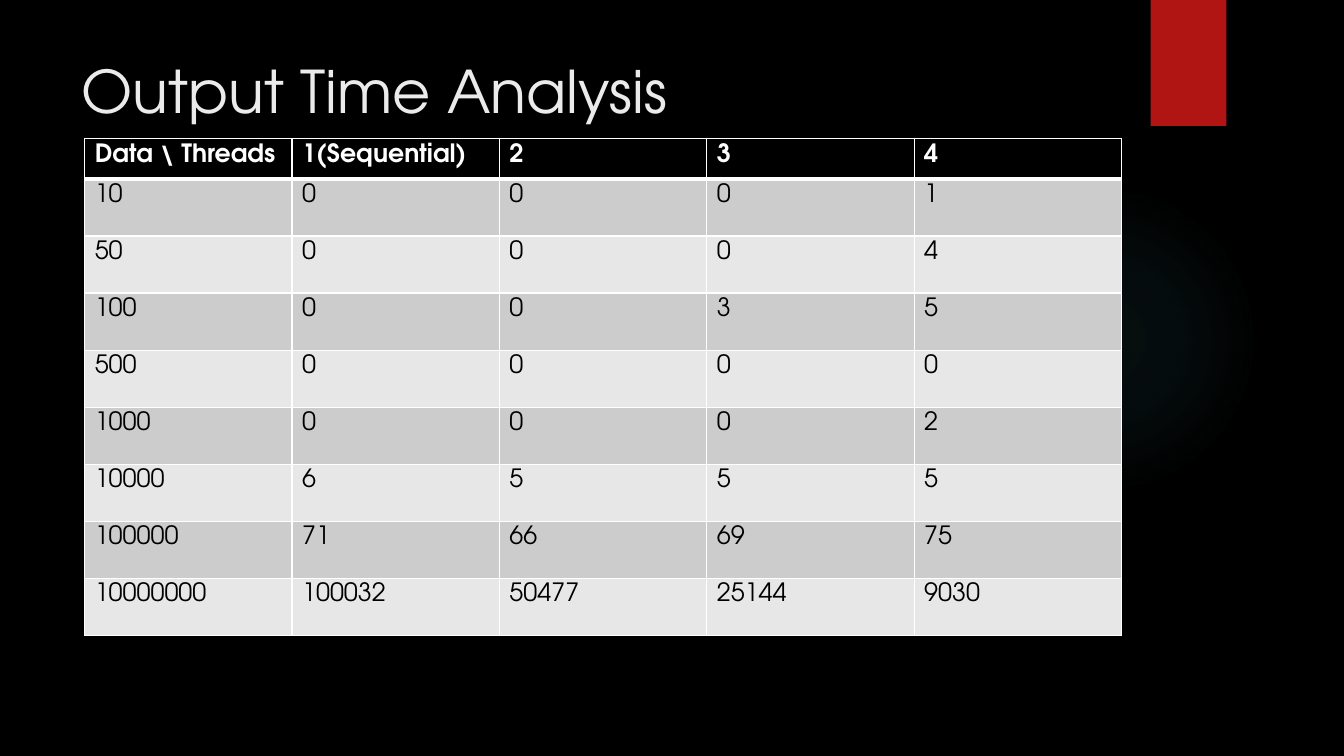
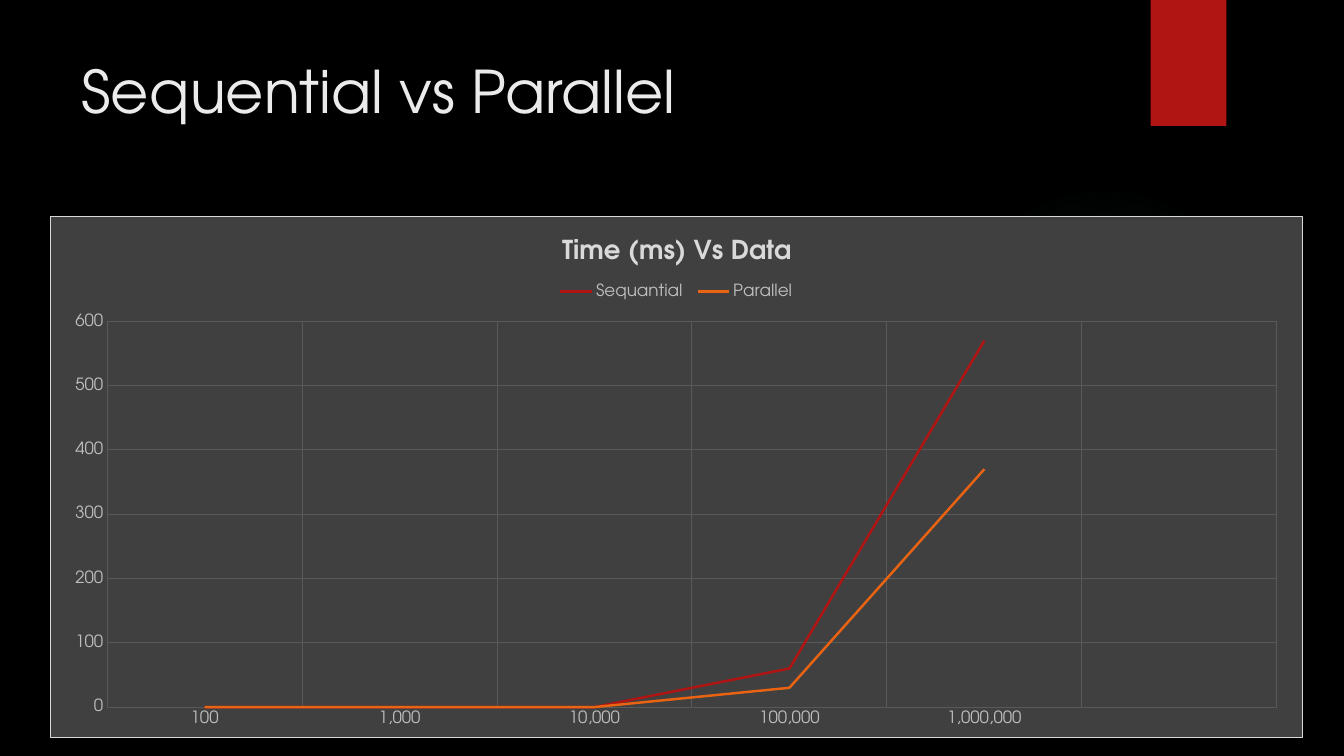
from dataclasses import dataclass

from lxml import etree
from pptx import Presentation
from pptx.chart.data import CategoryChartData
from pptx.dml.color import RGBColor
from pptx.enum.chart import XL_CHART_TYPE, XL_LEGEND_POSITION, XL_TICK_MARK
from pptx.enum.shapes import MSO_SHAPE
from pptx.enum.text import MSO_ANCHOR, MSO_AUTO_SIZE, PP_ALIGN
from pptx.oxml import parse_xml
from pptx.oxml.ns import nsdecls, qn
from pptx.util import Inches, Pt

LINE_CHART = XL_CHART_TYPE.LINE
LEGEND_TOP = XL_LEGEND_POSITION.TOP
NO_TICK = XL_TICK_MARK.NONE
ELLIPSE, RECTANGLE = MSO_SHAPE.OVAL, MSO_SHAPE.RECTANGLE
TOP, LEFT = MSO_ANCHOR.TOP, PP_ALIGN.LEFT
FIXED_SIZE = MSO_AUTO_SIZE.NONE
TITLE_ONLY = 5
SLIDE_WIDTH, SLIDE_HEIGHT = Inches(13.333), Inches(7.5)


@dataclass(frozen=True)
class Theme:
    font: str = "TeX Gyre Adventor"
    black: str = "000000"
    white: str = "FFFFFF"
    title: str = "EBEBEB"
    ribbon: str = "B01513"
    parallel: str = "EA6312"
    glow: str = "50B9C1"
    bands: tuple[str, str] = ("CCCCCC", "E7E7E7")
    chart_fill: str = "404040"
    chart_border: str = "D9D9D9"
    chart_label: str = "BFBFBF"
    grid: str = "595959"
    title_size: float = 42
    body_size: float = 18
    chart_title_size: float = 18.6
    label_size: float = 12
    chart_size: float = 10


@dataclass(frozen=True)
class Box:
    """Shares of the slide's width and height, in percent."""

    left: float
    top: float
    width: float
    height: float

    def lengths(self) -> tuple[int, int, int, int]:
        return (
            int(SLIDE_WIDTH * self.left / 100),
            int(SLIDE_HEIGHT * self.top / 100),
            int(SLIDE_WIDTH * self.width / 100),
            int(SLIDE_HEIGHT * self.height / 100),
        )


@dataclass(frozen=True)
class Timing:
    name: str
    milliseconds: tuple[int | None, ...]
    color: str


THEME = Theme()
GLOW = Box(70.58, 24.4, 23.1, 41.07)
RIBBON = Box(85.62, 0, 5.63, 16.67)
TIMES = Box(6.3, 18.33, 77.15, 65.73)
HEADER_HEIGHT = 5.35
COMPARISON = Box(3.7, 28.6, 93.25, 69)

TIME_ROWS = (
    ("Data \\ Threads", "1(Sequential)", "2", "3", "4"),
    ("10", "0", "0", "0", "1"),
    ("50", "0", "0", "0", "4"),
    ("100", "0", "0", "3", "5"),
    ("500", "0", "0", "0", "0"),
    ("1000", "0", "0", "0", "2"),
    ("10000", "6", "5", "5", "5"),
    ("100000", "71", "66", "69", "75"),
    ("10000000", "100032", "50477", "25144", "9030"),
)
DATA_SIZES = ("100", "1,000", "10,000", "100,000", "1,000,000", "")
TIMINGS = (
    Timing("Sequantial", (0, 0, 0, 60, 570, None), THEME.ribbon),
    Timing("Parallel", (0, 0, 0, 30, 370, None), THEME.parallel),
)


def rgb(color: str) -> RGBColor:
    return RGBColor.from_string(color)


def style_font(font, *, size: float, color: str, bold: bool = False) -> None:
    font.name = THEME.font
    font.size = Pt(size)
    font.bold = bold
    font.color.rgb = rgb(color)


def write_text(frame, text: str, *, size: float, color: str, bold: bool = False) -> None:
    frame.text = text
    paragraph = frame.paragraphs[0]
    paragraph.alignment = LEFT
    style_font(paragraph.runs[0].font, size=size, color=color, bold=bold)


def add_decoration(slide, kind, box: Box):
    decoration = slide.shapes.add_shape(kind, *box.lengths())
    decoration.line.fill.background()
    decoration.shadow.inherit = False
    return decoration


def add_glow(slide) -> None:
    glow = add_decoration(slide, ELLIPSE, GLOW)
    stops = "".join(
        f'<a:gs pos="{place * 1000}"><a:srgbClr val="{THEME.glow}">'
        f'<a:alpha val="{opacity * 1000}"/></a:srgbClr></a:gs>'
        for place, opacity in ((0, 7), (36, 6), (69, 0))
    )
    gradient = parse_xml(
        f'<a:gradFill {nsdecls("a")} rotWithShape="1"><a:gsLst>{stops}</a:gsLst>'
        '<a:path path="circle"><a:fillToRect l="50000" t="50000" r="50000" b="50000"/>'
        "</a:path></a:gradFill>"
    )
    glow.element.spPr.find(qn("a:prstGeom")).addnext(gradient)


def add_ribbon(slide) -> None:
    ribbon = add_decoration(slide, RECTANGLE, RIBBON)
    ribbon.fill.solid()
    ribbon.fill.fore_color.rgb = rgb(THEME.ribbon)
    ribbon.element.spPr.find(qn("a:effectLst")).append(
        parse_xml(
            f'<a:outerShdw {nsdecls("a")} blurRad="{Pt(3)}" dist="{Pt(2)}" dir="5400000">'
            f'<a:srgbClr val="{THEME.black}"><a:alpha val="45000"/></a:srgbClr></a:outerShdw>'
        )
    )


def add_titled_slide(deck, heading: str, title_height: float):
    slide = deck.slides.add_slide(deck.slide_layouts[TITLE_ONLY])
    add_glow(slide)
    add_ribbon(slide)
    title = slide.shapes.title
    box = Box(5.33, 6.6, 77.2, title_height)
    title.left, title.top, title.width, title.height = box.lengths()
    frame = title.text_frame
    frame.word_wrap = True
    frame.auto_size = FIXED_SIZE
    frame.vertical_anchor = TOP
    write_text(frame, heading, size=THEME.title_size, color=THEME.title)
    return slide


def add_borders(cell, widths: dict[str, float]) -> None:
    properties = cell._tc.get_or_add_tcPr()
    for position, (side, width) in enumerate(widths.items()):
        border = parse_xml(
            f'<a:{side} {nsdecls("a")} w="{Pt(width)}"><a:solidFill>'
            f'<a:srgbClr val="{THEME.white}"/></a:solidFill></a:{side}>'
        )
        properties.insert(position, border)


def add_times_table(slide) -> None:
    row_count, column_count = len(TIME_ROWS), len(TIME_ROWS[0])
    left, top, width, height = TIMES.lengths()
    times = slide.shapes.add_table(row_count, column_count, left, top, width, height).table
    header_height = int(SLIDE_HEIGHT * HEADER_HEIGHT / 100)
    body_height = (height - header_height) // (row_count - 1)
    for column in times.columns:
        column.width = width // column_count
    for index, entries in enumerate(TIME_ROWS):
        header = index == 0
        times.rows[index].height = header_height if header else body_height
        for cell, entry in zip(times.rows[index].cells, entries):
            cell.vertical_anchor = TOP
            cell.fill.solid()
            cell.fill.fore_color.rgb = rgb(THEME.black if header else THEME.bands[(index - 1) % 2])
            add_borders(
                cell,
                {"lnL": 1, "lnR": 1, "lnT": 3 if index == 1 else 1, "lnB": 3 if header else 1},
            )
            write_text(
                cell.text_frame,
                entry,
                size=THEME.body_size,
                color=THEME.white if header else THEME.black,
                bold=header,
            )


def place_in_chart(part, after: str | None, **percents: float) -> None:
    for previous in part.findall(qn("c:layout")):
        part.remove(previous)
    layout = etree.Element(qn("c:layout"))
    manual = etree.SubElement(layout, qn("c:manualLayout"))
    if after is None:
        etree.SubElement(manual, qn("c:layoutTarget"), val="inner")
        part.insert(0, layout)
    else:
        part.find(qn(after)).addnext(layout)
    for mode in ("xMode", "yMode"):
        etree.SubElement(manual, qn(f"c:{mode}"), val="edge")
    for name, percent in percents.items():
        etree.SubElement(manual, qn(f"c:{name}"), val=f"{percent / 100:.4f}")


def style_axis(axis) -> None:
    axis.major_tick_mark = axis.minor_tick_mark = NO_TICK
    axis.format.line.fill.background()
    axis.has_major_gridlines = True
    gridline = axis.major_gridlines.format.line
    gridline.color.rgb = rgb(THEME.grid)
    gridline.width = Pt(0.75)
    style_font(axis.tick_labels.font, size=THEME.label_size, color=THEME.chart_label)


def add_comparison_chart(slide) -> None:
    measurements = CategoryChartData()
    measurements.categories = DATA_SIZES
    for timing in TIMINGS:
        measurements.add_series(timing.name, timing.milliseconds)
    chart = slide.shapes.add_chart(LINE_CHART, *COMPARISON.lengths(), measurements).chart
    style_font(chart.font, size=THEME.chart_size, color=THEME.white)
    chart.element.find(qn("c:chart")).addnext(
        parse_xml(
            f'<c:spPr {nsdecls("c", "a")}><a:solidFill><a:srgbClr val="{THEME.chart_fill}"/>'
            f'</a:solidFill><a:ln w="{Pt(0.75)}"><a:solidFill>'
            f'<a:srgbClr val="{THEME.chart_border}"/></a:solidFill></a:ln></c:spPr>'
        )
    )
    chart.has_title = True
    write_text(
        chart.chart_title.text_frame,
        "Time (ms) Vs Data",
        size=THEME.chart_title_size,
        color=THEME.chart_border,
        bold=True,
    )
    chart.chart_title.include_in_layout = False
    chart.has_legend = True
    chart.legend.position = LEGEND_TOP
    chart.legend.include_in_layout = False
    style_font(chart.legend.font, size=THEME.label_size, color=THEME.chart_label)
    for axis in (chart.category_axis, chart.value_axis):
        style_axis(axis)
    chart.value_axis.minimum_scale = 0
    chart.value_axis.maximum_scale = 600
    chart.value_axis.major_unit = 100
    plot = chart.plots[0]
    plot.vary_by_categories = False
    for series, timing in zip(plot.series, TIMINGS):
        series.smooth = False
        series.format.line.color.rgb = rgb(timing.color)
        series.format.line.width = Pt(1.75)
    body = chart.element.find(qn("c:chart"))
    place_in_chart(body.find(qn("c:title")), "c:tx", x=40.5, y=3)
    place_in_chart(body.find(qn("c:legend")), "c:legendPos", x=40, y=11.4, w=20, h=6)
    place_in_chart(body.find(qn("c:plotArea")), None, x=4.55, y=20.1, w=93.4, h=74.1)


def main() -> None:
    deck = Presentation()
    deck.slide_width, deck.slide_height = SLIDE_WIDTH, SLIDE_HEIGHT
    backdrop = deck.slide_master.background.fill
    backdrop.solid()
    backdrop.fore_color.rgb = rgb(THEME.black)
    add_times_table(add_titled_slide(deck, "Output Time Analysis", 10))
    add_comparison_chart(add_titled_slide(deck, "Sequential vs Parallel", 20.4))
    deck.save("out.pptx")


if __name__ == "__main__":
    main()
